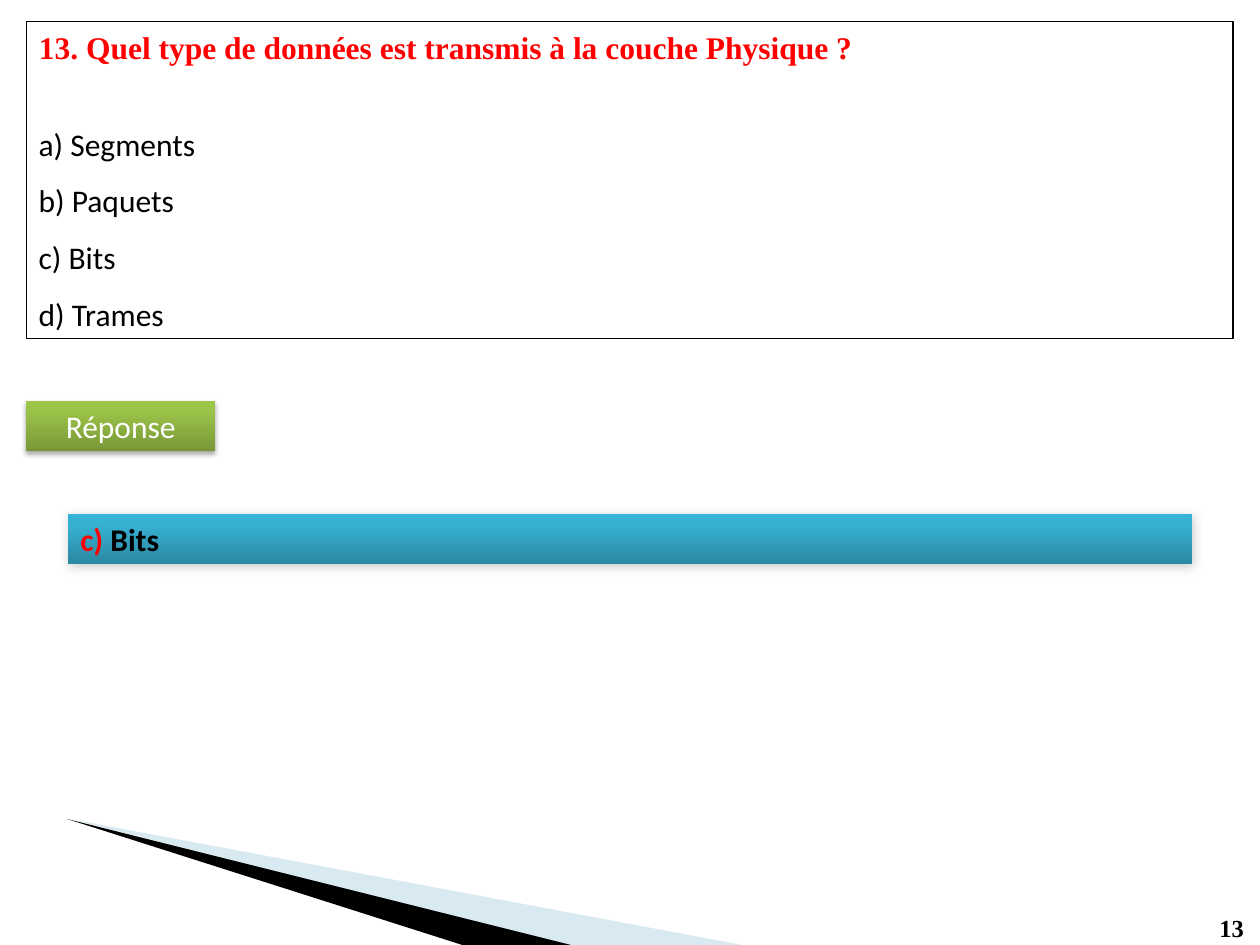
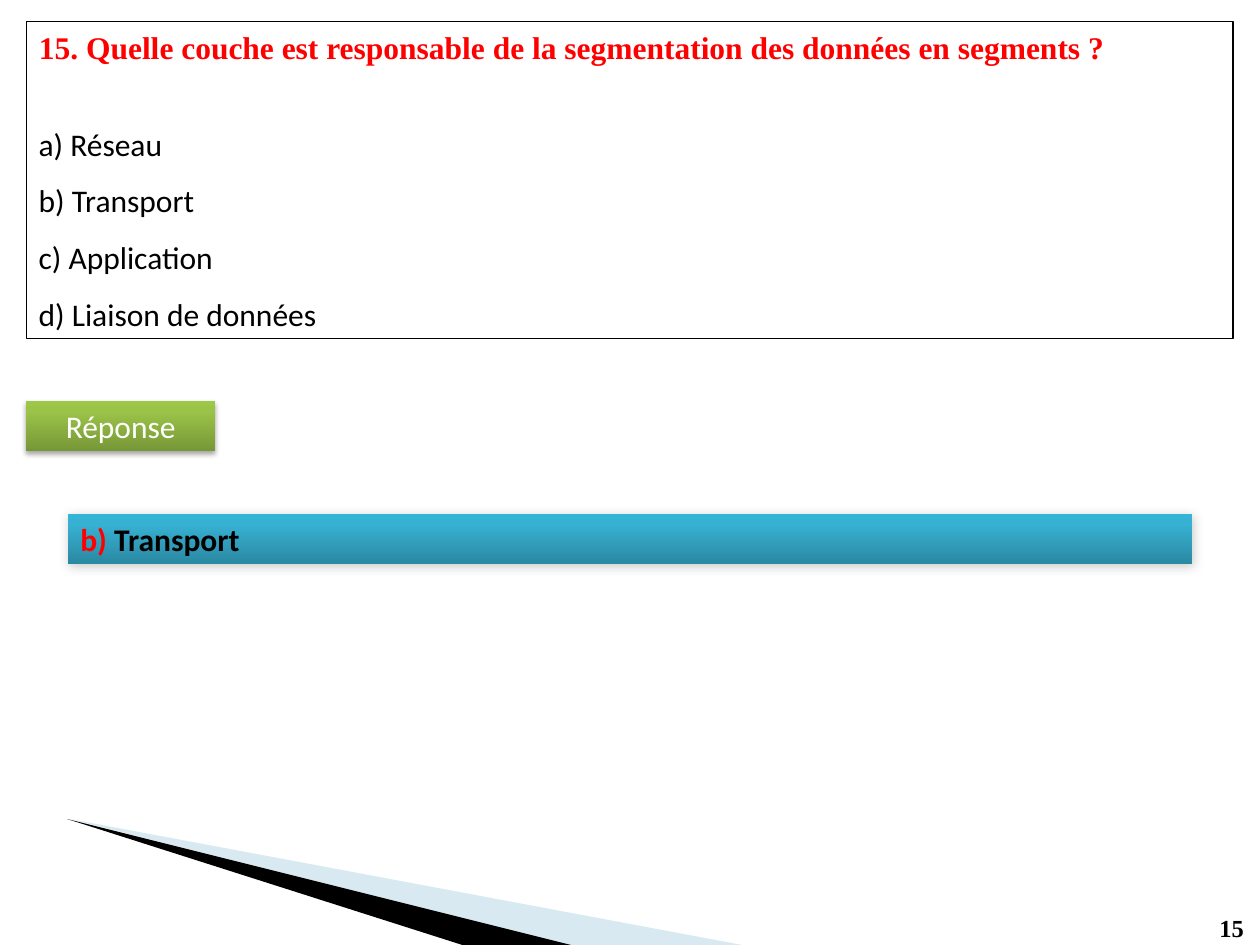
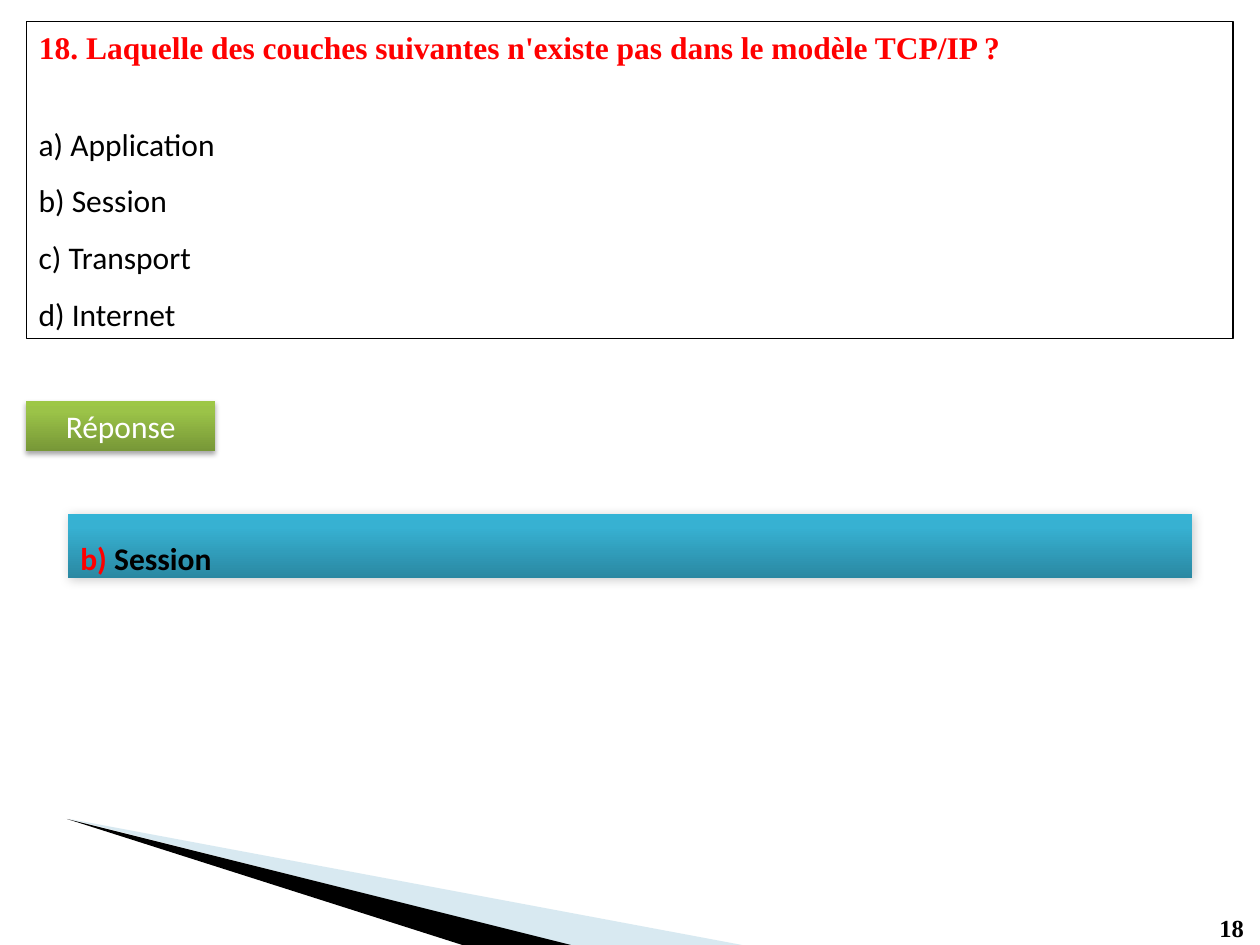
from copy import deepcopy

from lxml import etree
from pptx import Presentation
from pptx.dml.color import RGBColor
from pptx.enum.shapes import MSO_SHAPE
from pptx.enum.text import MSO_ANCHOR, PP_ALIGN
from pptx.oxml.ns import qn
from pptx.util import Cm, Pt

RECTANGLE = MSO_SHAPE.RECTANGLE
TOP, BOTTOM = MSO_ANCHOR.TOP, MSO_ANCHOR.BOTTOM
LEFT, CENTER = PP_ALIGN.LEFT, PP_ALIGN.CENTER

COLORS = {"ink": "000000", "accent": "FF0000", "paper": "FFFFFF", "wing": "9FCADC"}
GREEN = [(0, "779737"), (0.8, "9BC348"), (1, "9DC746")]
BLUE = [(0, "2A88A2"), (0.8, "37B1D2"), (1, "34B4D6")]
HEADING_FONT, BODY_FONT = "Times New Roman", "Calibri"

QUESTIONS = [
    {
        "number": 13,
        "question": "Quel type de données est transmis à la couche Physique ?",
        "options": ["Segments", "Paquets", "Bits", "Trames"],
        "answer": "c",
        "answer_height": 1.02,
        "answer_spacing": 1.0,
    },
    {
        "number": 15,
        "question": "Quelle couche est responsable de la segmentation des données en segments ?",
        "options": ["Réseau", "Transport", "Application", "Liaison de données"],
        "answer": "b",
        "answer_height": 1.02,
        "answer_spacing": 1.0,
    },
    {
        "number": 18,
        "question": "Laquelle des couches suivantes n'existe pas dans le modèle TCP/IP ?",
        "options": ["Application", "Session", "Transport", "Internet"],
        "answer": "b",
        "answer_height": 1.3,
        "answer_spacing": 1.5,
    },
]
LETTERS = "abcd"


def style(paragraph, font_name, size, color, bold=False, align=LEFT):
    paragraph.alignment = align
    paragraph.font.name = font_name
    paragraph.font.size = Pt(size)
    paragraph.font.bold = bold
    paragraph.font.color.rgb = RGBColor.from_string(COLORS[color])


def add_banner(slide, box, stops, shadow):
    banner = slide.shapes.add_shape(RECTANGLE, *map(Cm, box))
    banner.line.fill.background()
    banner.fill.gradient()
    banner.fill.gradient_angle = 90
    stop_list = next(banner.element.iter(qn("a:gsLst")))
    stop_list.append(deepcopy(stop_list[0]))
    for stop, (position, color) in zip(banner.fill.gradient_stops, stops):
        stop.position = position
        stop.color.rgb = RGBColor.from_string(color)
    banner.shadow.inherit = False
    opacity, blur, distance, angle = shadow
    effects = next(banner.element.iter(qn("a:effectLst")))
    outer = etree.SubElement(
        effects, qn("a:outerShdw"), blurRad=str(Pt(blur)), dist=str(Pt(distance)),
        dir=str(angle * 60000), rotWithShape="0")
    tint = etree.SubElement(outer, qn("a:srgbClr"), val=COLORS["ink"])
    etree.SubElement(tint, qn("a:alpha"), val=str(opacity * 1000))
    banner.text_frame.vertical_anchor = TOP
    return banner


prs = Presentation()
prs.slide_width, prs.slide_height = Cm(25.4), Cm(19.05)
title_only = prs.slide_layouts[5]
slides = [prs.slides.add_slide(title_only) for _ in QUESTIONS]

WINGS = [
    ("wing", 40, [(1.4, 16.51), (11.46, 19.05), (14.96, 19.05)]),
    ("ink", 100, [(1.35, 16.51), (9.32, 19.05), (11.51, 19.05)]),
]
for color, opacity, corners in WINGS:
    start, *others = [(Cm(x), Cm(y)) for x, y in corners]
    outline = slides[0].shapes.build_freeform(*start)
    outline.add_line_segments(others, close=True)
    wing = outline.convert_to_shape()
    wing.fill.solid()
    wing.fill.fore_color.rgb = RGBColor.from_string(COLORS[color])
    wing.line.fill.background()
    wing.shadow.inherit = False
    if opacity < 100:
        tint = next(wing.element.iter(qn("a:srgbClr")))
        etree.SubElement(tint, qn("a:alpha"), val=str(opacity * 1000))
    prs.slide_master.shapes.element.append(wing.element)

for slide, quiz in zip(slides, QUESTIONS):
    heading = slide.shapes.title
    heading.left, heading.top, heading.width, heading.height = map(Cm, (0.53, 0.43, 24.33, 1.02))
    heading.text_frame.text = f"{quiz['number']}. {quiz['question']}"
    heading.text_frame.vertical_anchor = TOP
    style(heading.text_frame.paragraphs[0], HEADING_FONT, 18, "accent", bold=True)

    page_number = slide.shapes.add_textbox(*map(Cm, (24.33, 18.29, 1.02, 0.86)))
    page_number.text_frame.text = str(quiz["number"])
    style(page_number.text_frame.paragraphs[0], HEADING_FONT, 14, "ink", bold=True)

    choices = slide.shapes.add_shape(RECTANGLE, *map(Cm, (0.53, 0.43, 24.33, 6.4)))
    choices.fill.background()
    choices.line.color.rgb = RGBColor.from_string(COLORS["ink"])
    choices.line.width = Pt(0.75)
    choices.shadow.inherit = False
    choices.text_frame.vertical_anchor = BOTTOM
    choices.text_frame.text = "\n".join(
        f"{letter}) {option}" for letter, option in zip(LETTERS, quiz["options"]))
    for choice in choices.text_frame.paragraphs:
        choice.line_spacing = 1.5
        style(choice, BODY_FONT, 18, "ink")

    label = add_banner(slide, (0.53, 8.08, 3.81, 1.02), GREEN, (35, 3.1, 1.8, 90))
    label.text_frame.text = "Réponse"
    style(label.text_frame.paragraphs[0], BODY_FONT, 18, "paper", align=CENTER)

    answer = add_banner(
        slide, (1.37, 10.36, 22.66, quiz["answer_height"]), BLUE, (20, 6, 1, 45))
    solution = answer.text_frame.paragraphs[0]
    solution.line_spacing = quiz["answer_spacing"]
    style(solution, BODY_FONT, 18, "ink", bold=True)
    letter = solution.add_run()
    letter.text = f"{quiz['answer']}) "
    letter.font.color.rgb = RGBColor.from_string(COLORS["accent"])
    solution.add_run().text = quiz["options"][LETTERS.index(quiz["answer"])]

prs.save("out.pptx")
